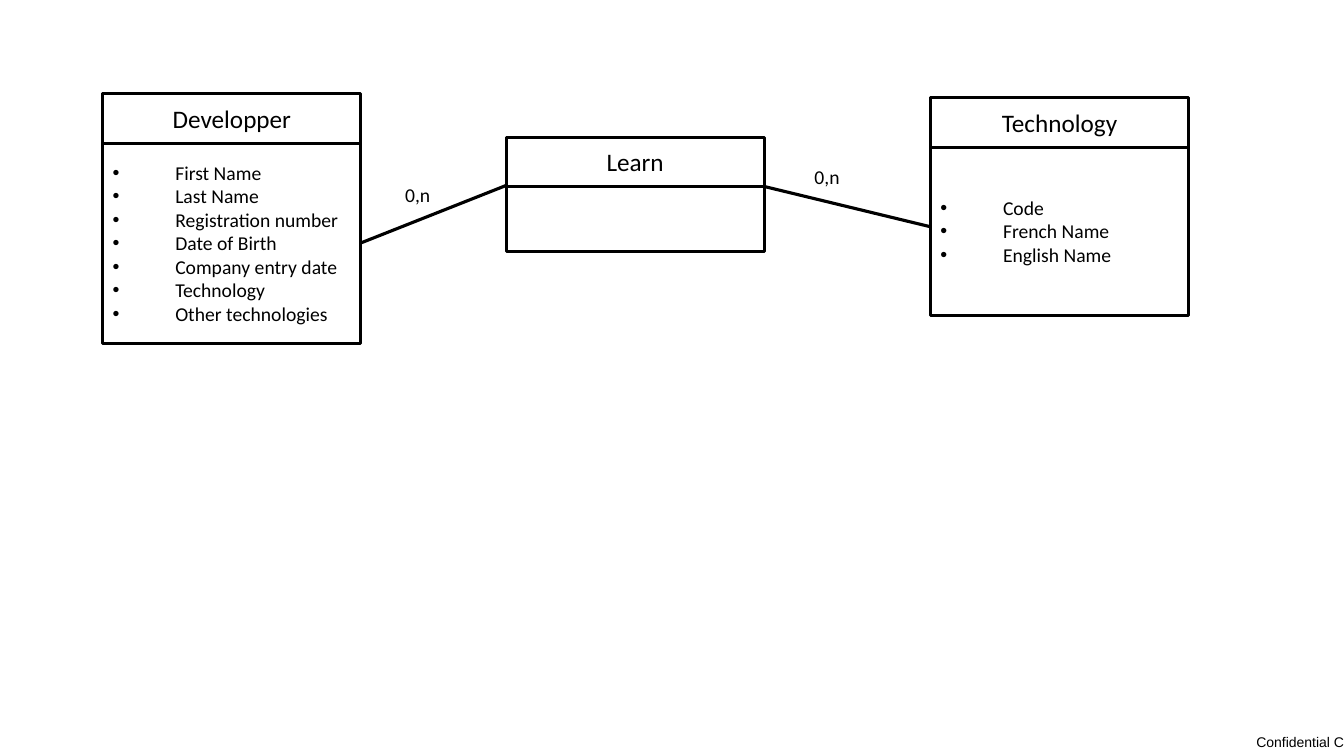
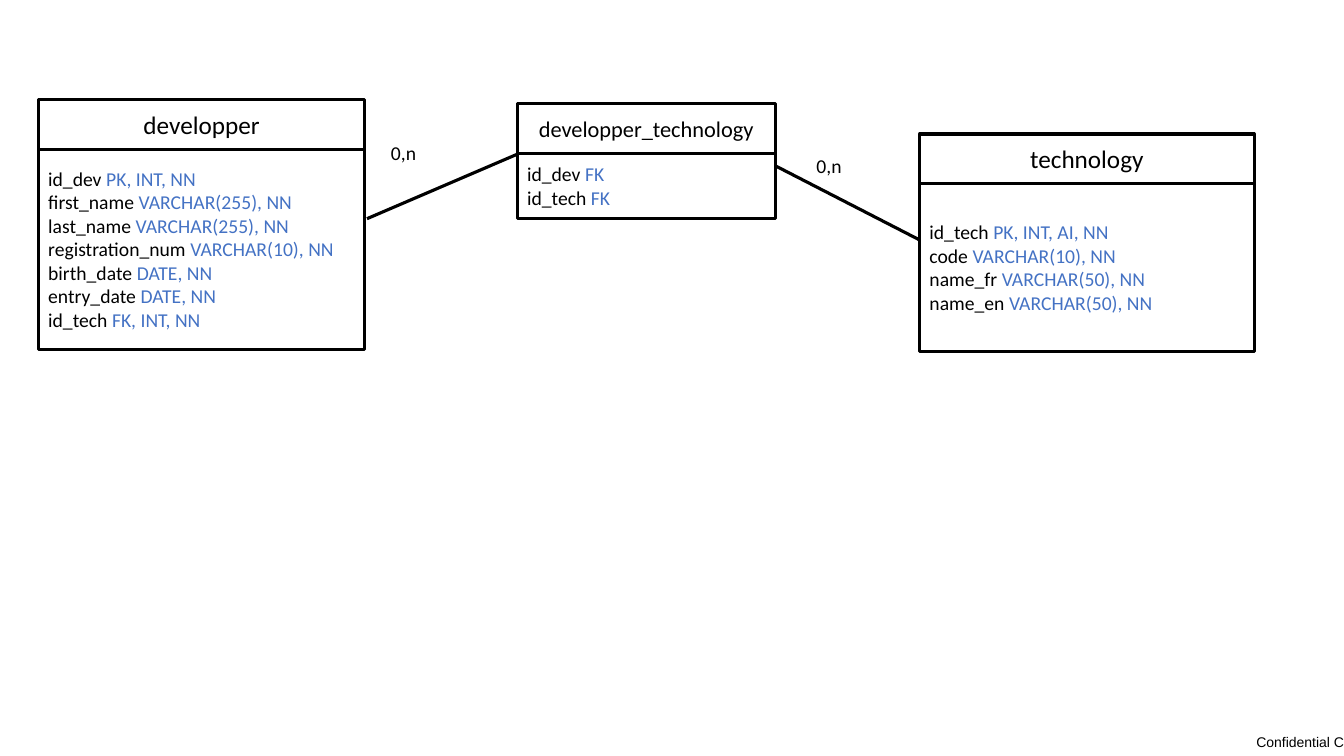
from lxml import etree
from pptx import Presentation
from pptx.dml.color import RGBColor
from pptx.enum import shapes, text
from pptx.oxml.ns import qn
from pptx.util import Inches, Pt

BLACK = RGBColor(0x00, 0x00, 0x00)
WHITE = RGBColor(0xFF, 0xFF, 0xFF)
BLUE = RGBColor(0x44, 0x72, 0xC4)
LINE_WIDTH = Pt(2.25)
HEADER_HEIGHT = 0.49
BODY_OFFSET = 0.48
BULLET_INDENT = Inches(0.62)
BLANK_LAYOUT = 6


def add_bullet(paragraph):
    """Give a paragraph a hanging bullet."""
    properties = paragraph._p.get_or_add_pPr()
    properties.set("marL", str(BULLET_INDENT))
    properties.set("indent", str(-BULLET_INDENT))
    etree.SubElement(properties, qn("a:buFont")).set("typeface", "Arial")
    etree.SubElement(properties, qn("a:buChar")).set("char", "•")


def write_text(frame, lines, size=14, font="Calibri", align=text.PP_ALIGN.LEFT,
               anchor=text.MSO_ANCHOR.MIDDLE, bullets=False):
    """Write lines, each a tuple of a black run and an optional blue run."""
    frame.word_wrap = True
    frame.vertical_anchor = anchor
    for index, line in enumerate(lines):
        paragraph = frame.add_paragraph() if index else frame.paragraphs[0]
        paragraph.alignment = align
        if bullets:
            add_bullet(paragraph)
        for content, color in zip(line, (BLACK, BLUE)):
            run = paragraph.add_run()
            run.text = content
            run.font.size = Pt(size)
            run.font.name = font
            run.font.color.rgb = color


def add_box(slide, left, top, width, height):
    """Add a white rectangle with a black outline."""
    box = slide.shapes.add_shape(shapes.MSO_SHAPE.RECTANGLE, Inches(left), Inches(top),
                                 Inches(width), Inches(height))
    box.shadow.inherit = False
    box.fill.solid()
    box.fill.fore_color.rgb = WHITE
    box.line.color.rgb = BLACK
    box.line.width = LINE_WIDTH
    return box


def add_entity(slide, name, left, top, width, body_height, fields=(), bullets=False,
               name_size=18):
    """Add an entity: a field list under a name box."""
    body = add_box(slide, left, top + BODY_OFFSET, width, body_height)
    write_text(body.text_frame, fields, bullets=bullets)
    header = add_box(slide, left, top, width, HEADER_HEIGHT)
    write_text(header.text_frame, [(name,)], size=name_size, align=text.PP_ALIGN.CENTER)


def add_text_box(slide, content, left, top, width, height, **text_format):
    """Add a text box that grows with its text."""
    box = slide.shapes.add_textbox(Inches(left), Inches(top), Inches(width), Inches(height))
    write_text(box.text_frame, [(content,)], **text_format)
    box.text_frame.auto_size = text.MSO_AUTO_SIZE.SHAPE_TO_FIT_TEXT
    return box


def add_relation(slide, start, end, label_left, label_top):
    """Join two entities with a line and its cardinality."""
    ends = [Inches(length) for length in (*start, *end)]
    connector = slide.shapes.add_connector(shapes.MSO_CONNECTOR.STRAIGHT, *ends)
    connector.line.color.rgb = BLACK
    connector.line.width = LINE_WIDTH
    etree.SubElement(connector._element.spPr, qn("a:effectLst"))
    add_text_box(slide, "0,n", label_left, label_top, 0.84, 0.34, anchor=text.MSO_ANCHOR.TOP)


def add_diagram_slide(presentation):
    """Add a blank slide with the shared confidentiality footer."""
    slide = presentation.slides.add_slide(presentation.slide_layouts[BLANK_LAYOUT])
    footer = add_text_box(slide, "Confidential C", 12.15, 7.23, 1.18, 0.27, size=10,
                          font="Arial", align=text.PP_ALIGN.RIGHT)
    frame = footer.text_frame
    frame.word_wrap = False
    frame.margin_left = frame.margin_right = frame.margin_top = frame.margin_bottom = 0
    return slide


def build_conceptual_model(presentation):
    """Build the slide with the conceptual entities."""
    slide = add_diagram_slide(presentation)
    developer_fields = ["First Name", "Last Name", "Registration number", "Date of Birth",
                        "Company entry date", "Technology", "Other technologies"]
    technology_fields = ["Code", "French Name", "English Name"]
    add_entity(slide, "Developper", 1.02, 0.93, 2.56, 2,
               [(field,) for field in developer_fields], bullets=True)
    add_entity(slide, "Technology", 9.23, 0.97, 2.56, 1.68,
               [(field,) for field in technology_fields], bullets=True)
    add_entity(slide, "Learn", 5.02, 1.36, 2.56, 0.66)
    add_relation(slide, (3.58, 2.41), (5.02, 1.84), 3.92, 1.77)
    add_relation(slide, (7.58, 1.85), (9.23, 2.25), 7.98, 1.59)


def build_table_model(presentation):
    """Build the slide with the database tables."""
    slide = add_diagram_slide(presentation)
    add_entity(slide, "developper", 0.38, 0.99, 3.24, 2, [
        ("id_dev ", "PK, INT, NN"),
        ("first_name ", "VARCHAR(255), NN"),
        ("last_name ", "VARCHAR(255), NN"),
        ("registration_num ", "VARCHAR(10), NN"),
        ("birth_date ", "DATE, NN"),
        ("entry_date ", "DATE, NN"),
        ("id_tech ", "FK, INT, NN"),
    ])
    add_entity(slide, "technology", 9.12, 1.33, 3.32, 1.68, [
        ("id_tech ", "PK, INT, AI, NN"),
        ("code ", "VARCHAR(10), NN"),
        ("name_fr ", "VARCHAR(50), NN"),
        ("name_en ", "VARCHAR(50), NN"),
    ])
    add_entity(slide, "developper_technology", 5.13, 1.03, 2.56, 0.66,
               [("id_dev ", "FK"), ("id_tech ", "FK")], name_size=16)
    add_relation(slide, (3.64, 2.17), (5.13, 1.53), 3.78, 1.35)
    add_relation(slide, (7.7, 1.65), (9.12, 2.38), 8, 1.48)


def main():
    """Build and save the presentation."""
    presentation = Presentation()
    presentation.slide_width = Inches(13.33)
    presentation.slide_height = Inches(7.5)
    build_conceptual_model(presentation)
    build_table_model(presentation)
    presentation.save("out.pptx")


main()
